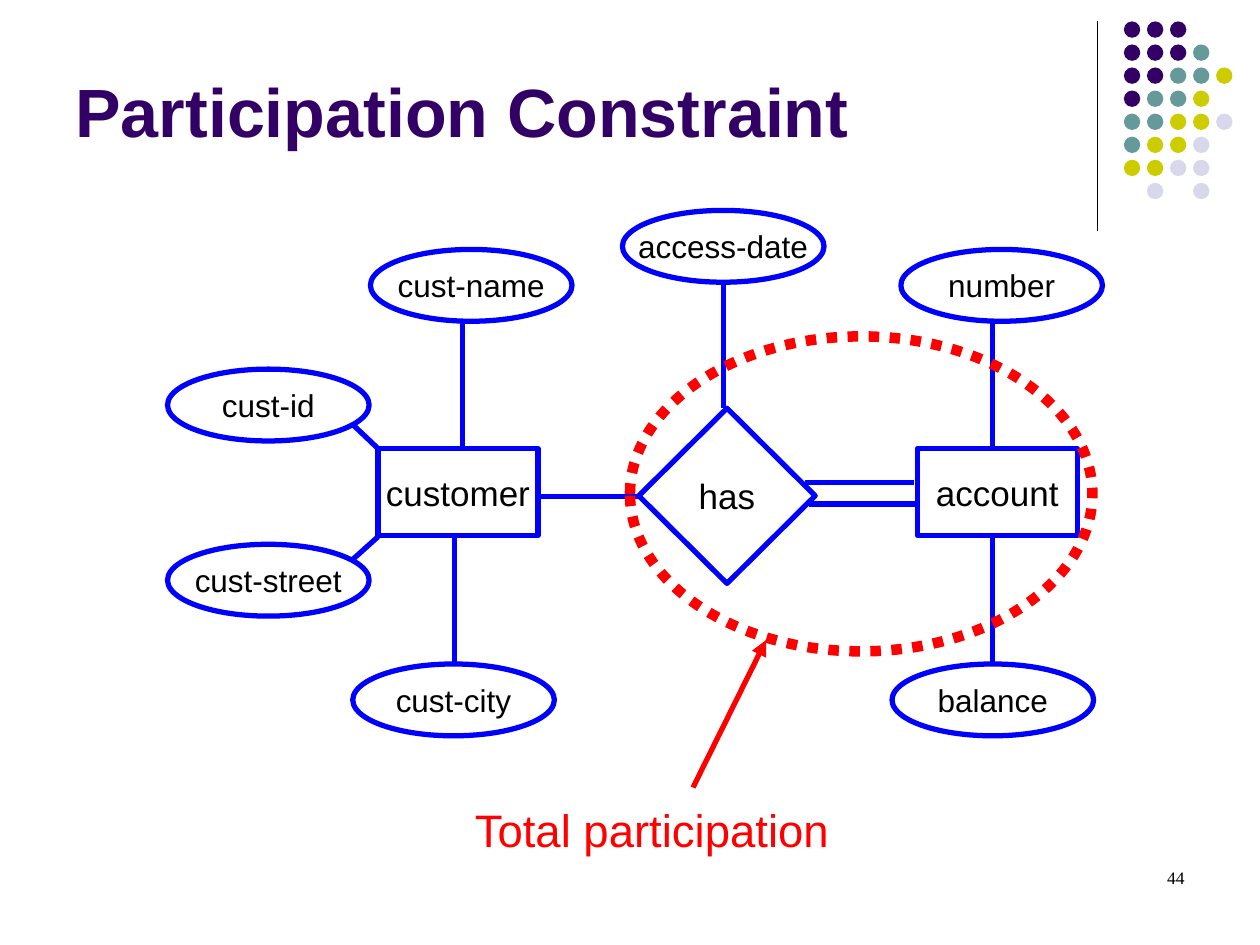
from pptx import Presentation
from pptx.dml.color import RGBColor
from pptx.enum.dml import MSO_LINE as Dash
from pptx.enum.shapes import MSO_CONNECTOR as Link, MSO_SHAPE as Shape
from pptx.enum.text import MSO_ANCHOR as Anchor, PP_ALIGN as Align
from pptx.oxml.ns import qn
from pptx.util import Inches, Pt
from lxml.etree import SubElement

BLUE, RED, BLACK = "0000FF", "FF0000", "000000"
DOTS = ["PPP", "PPPT", "PPTTY", "PTTY", "TTYYL", "TYYL", "YYLL", " L L"]
HUES = {"P": "330066", "T": "669999", "Y": "CCCC00", "L": "D8D8EC"}


def paint(part, hue):
    """Give a fill, line or font its colour."""
    if hasattr(part, "solid"):
        part.solid()
        part.fore_color.rgb = RGBColor.from_string(hue)
    else:
        part.color.rgb = RGBColor.from_string(hue)


def write(frame, text, size, hue, align, anchor, face="Arial", bold=False):
    """Set and format one line of text."""
    frame.text = text
    frame.vertical_anchor = anchor
    line = frame.paragraphs[0]
    line.alignment = align
    font = line.runs[0].font
    font.name, font.size, font.bold = face, Pt(size), bold
    paint(font, hue)


def add_text(slide, box, *args, **style):
    """Add a wrapped text box."""
    frame = slide.shapes.add_textbox(*map(Inches, box)).text_frame
    frame.word_wrap = True
    write(frame, *args, **style)


def add_form(slide, kind, box, line=None, width=3, fill=None):
    """Add a preset shape with an optional outline and fill."""
    form = slide.shapes.add_shape(kind, *map(Inches, box))
    form.shadow.inherit = False
    if fill:
        paint(form.fill, fill)
    else:
        form.fill.background()
    if line:
        paint(form.line, line)
        form.line.width = Pt(width)
    else:
        form.line.fill.background()
    return form


def add_line(slide, start, end, hue=BLUE, width=3, arrow=False):
    """Add a straight line, with an arrowhead at its end if asked."""
    link = slide.shapes.add_connector(Link.STRAIGHT, *map(Inches, start + end))
    paint(link.line, hue)
    link.line.width = Pt(width)
    if arrow:
        SubElement(link.line._get_or_add_ln(), qn("a:tailEnd"), type="triangle")
    SubElement(link._element.spPr, qn("a:effectLst"))


def add_node(slide, kind, box, text, size=20):
    """Add a labelled part of the diagram."""
    frame = add_form(slide, kind, box, BLUE).text_frame
    frame.word_wrap = False
    write(frame, text, size, BLACK, Align.CENTER, Anchor.MIDDLE)


def add_corner(slide, box):
    """Draw the rule and the dot pattern beside it."""
    left, top, _, high = box
    add_line(slide, (left, top), (left, top + high), BLACK, 0.75)
    for row, marks in enumerate(DOTS):
        for col, mark in enumerate(marks):
            if mark in HUES:
                spot = left + 0.21 + col * 0.183, top + row * 0.183, 0.13, 0.13
                add_form(slide, Shape.OVAL, spot, fill=HUES[mark])


def add_diagram(slide, box):
    """Draw the entities, their attributes and the relationship."""
    left, top, _, _ = box

    def at(x, y):
        return left + x, top + y

    lines = [
        (2.94, 2.27, 3.74, 2.27), (5.06, 2.16, 5.92, 2.16),
        (5.09, 2.33, 5.95, 2.33), (2.34, 0.88, 2.34, 1.89),
        (2.28, 2.59, 2.28, 3.6), (1.47, 1.7, 1.67, 1.89),
        (1.67, 2.59, 1.47, 2.77), (6.55, 2.59, 6.55, 3.6),
        (6.55, 0.88, 6.55, 1.89), (4.41, 0.56, 4.41, 1.57),
    ]
    for x, y, right, low in lines:
        add_line(slide, at(x, y), at(right, low))
    for text, x in [("customer", 1.67), ("account", 5.95)]:
        add_node(slide, Shape.RECTANGLE, at(x, 1.89) + (1.27, 0.69), text)
    add_node(slide, Shape.DIAMOND, at(3.74, 1.57) + (1.4, 1.39), "has")
    fields = [
        ("cust-street", 0, 2.65), ("cust-id", 0, 1.26),
        ("cust-name", 1.61, 0.31), ("cust-city", 1.47, 3.6),
        ("balance", 5.75, 3.6), ("number", 5.82, 0.31),
        ("access-date", 3.61, 0),
    ]
    for text, x, y in fields:
        add_node(slide, Shape.OVAL, at(x, y) + (1.6, 0.57), text, 18)


def add_callout(slide, box):
    """Ring the total participation and name it."""
    left, top, wide, _ = box
    ring = add_form(slide, Shape.OVAL, (left, top, wide, 2.5), RED, 6)
    ring.line.dash_style = Dash.ROUND_DOT
    add_line(slide, (left + 0.5, top + 3.58), (left + 1.08, top + 2.41), RED, arrow=True)
    label = left - 1.33, top + 3.5, 4.42, 0.83
    add_text(slide, label, "Total participation", 26, RED, Align.LEFT, Anchor.MIDDLE)


def main():
    """Build and save the slide."""
    deck = Presentation()
    deck.slide_width, deck.slide_height = Inches(10), Inches(7.5)
    slide = deck.slides.add_slide(deck.slide_layouts[6])
    add_corner(slide, (8.71, 0.17, 1.07, 1.66))
    add_text(slide, (0.5, 0.13, 8.25, 1.12), "Participation Constraint", 39,
             HUES["P"], Align.LEFT, Anchor.BOTTOM, bold=True)
    add_diagram(slide, (1.33, 1.67, 7.42, 4.17))
    add_callout(slide, (5, 2.67, 3.67, 4.33))
    add_text(slide, (7.17, 6.83, 2.33, 0.5), "44", 10, BLACK, Align.RIGHT,
             Anchor.TOP, face="Times New Roman")
    deck.save("out.pptx")


if __name__ == "__main__":
    main()
